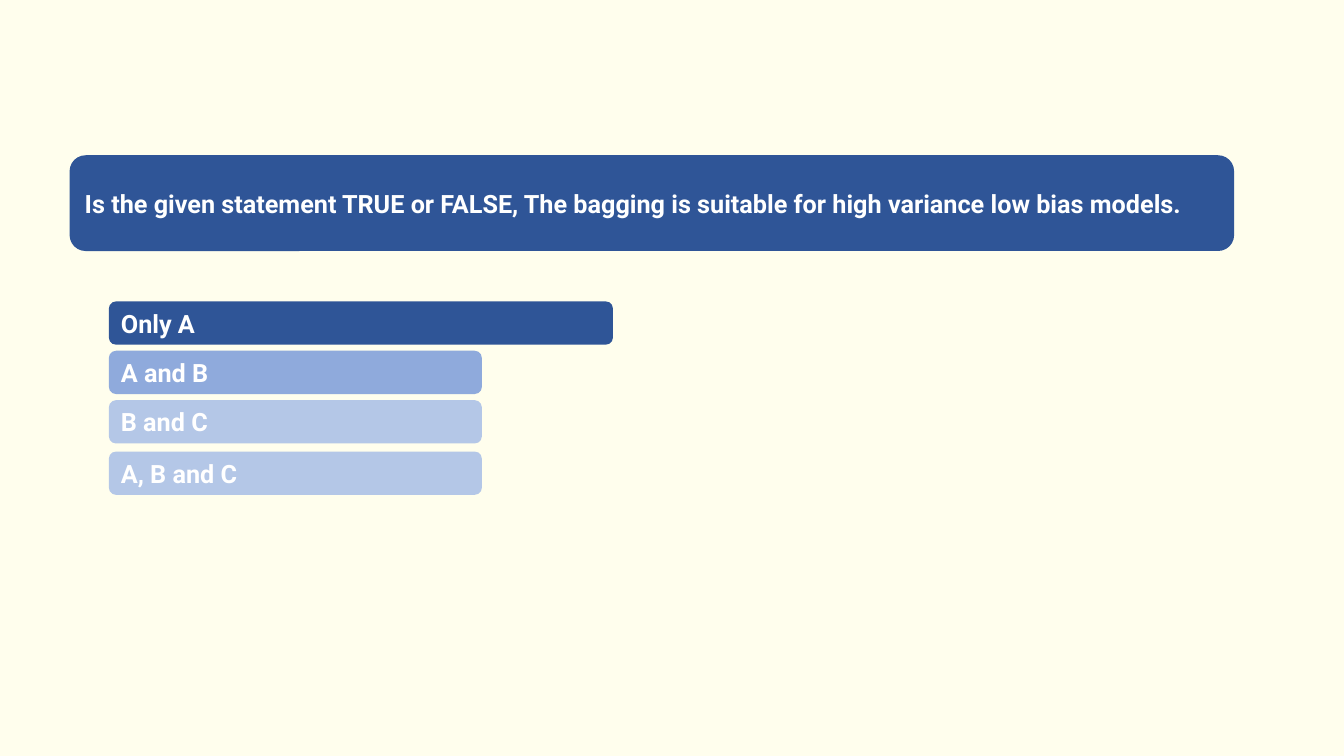
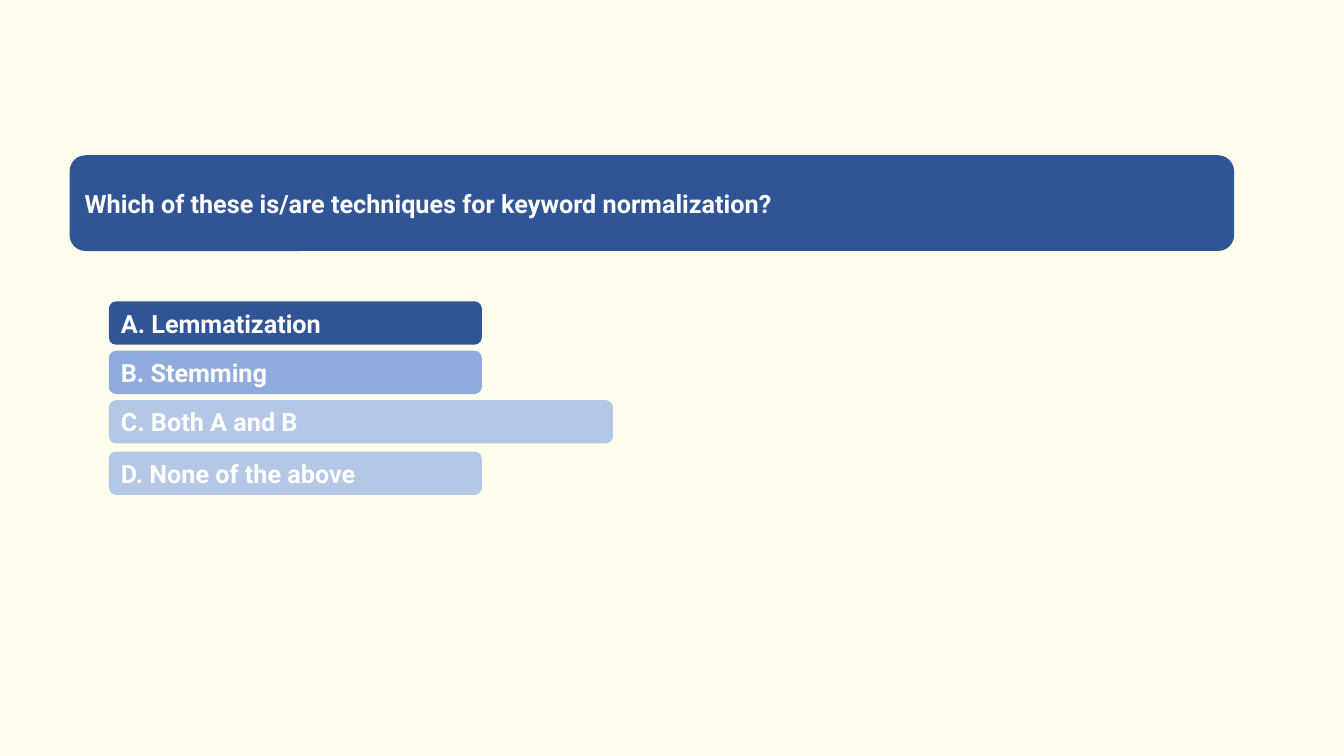
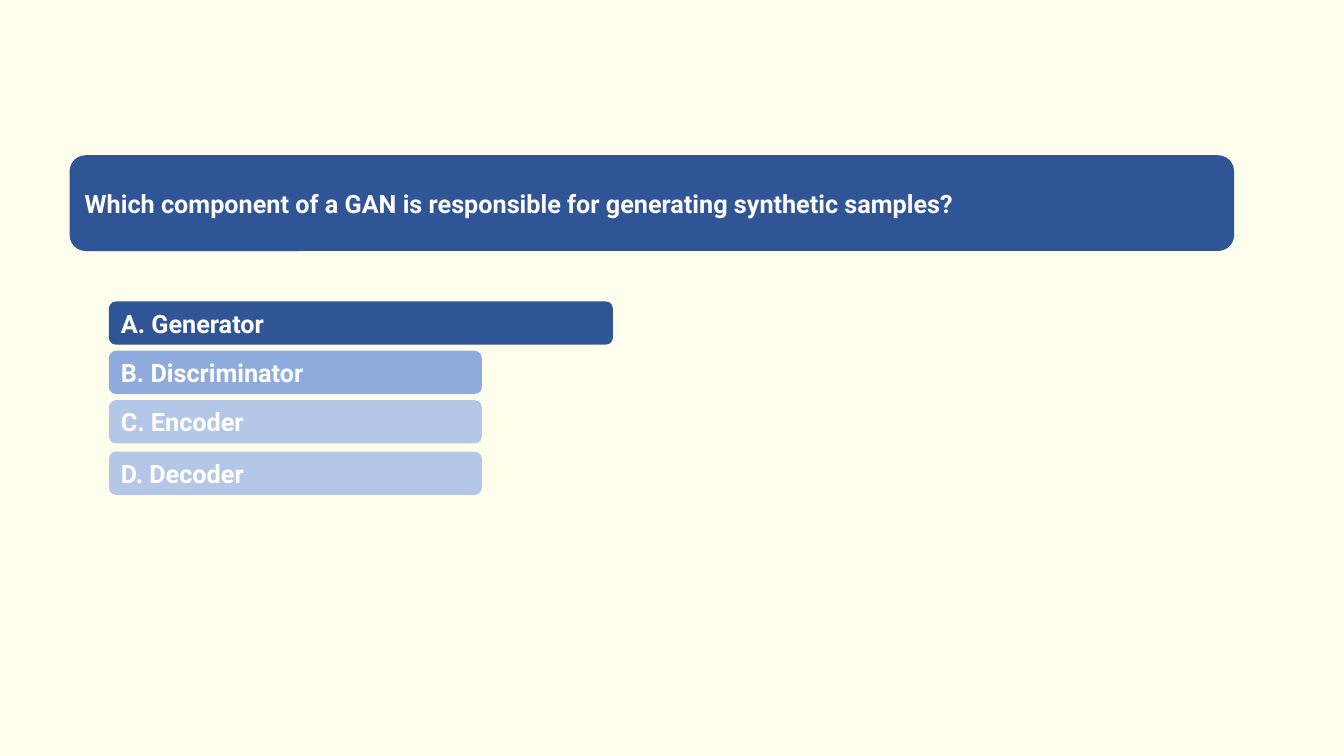
from pptx import Presentation
from pptx.dml.color import RGBColor
from pptx.enum.shapes import MSO_SHAPE
from pptx.enum.text import MSO_ANCHOR, MSO_AUTO_SIZE, PP_ALIGN
from pptx.util import Inches, Pt

CREAM = RGBColor(0xFF, 0xFE, 0xED)
WHITE = RGBColor(0xFF, 0xFF, 0xFF)
NAVY = RGBColor(0x2F, 0x55, 0x97)
BLUE = RGBColor(0x8F, 0xAA, 0xDC)
PALE = RGBColor(0xB4, 0xC7, 0xE7)

BAND = [Inches(n) for n in (0.69, 1.54, 11.55, 0.95)]
OPTION_ROWS = [(2.99, NAVY), (3.48, BLUE), (3.97, PALE), (4.48, PALE)]
OPTION_WIDTH = 3.7
ANSWER_WIDTH = 5

QUIZ = [
    ("Is the given statement TRUE or FALSE, The bagging is suitable for "
     "high variance low bias models.",
     ["Only A", "A and B", "B and C", "A, B and C"], 0),
    ("Which of these is/are techniques for keyword normalization?",
     ["A. Lemmatization", "B. Stemming", "C. Both A and B",
      "D. None of the above"], 2),
    ("Which component of a GAN is responsible for generating synthetic samples?",
     ["A. Generator", "B. Discriminator", "C. Encoder", "D. Decoder"], 0),
]


def add_bar(slide, left, top, width, height, color):
    bar = slide.shapes.add_shape(
        MSO_SHAPE.ROUNDED_RECTANGLE, left, top, width, height)
    bar.shadow.inherit = False
    bar.fill.solid()
    bar.fill.fore_color.rgb = color
    bar.line.fill.background()
    return bar


def write(shape, text):
    frame = shape.text_frame
    frame.text = text
    frame.word_wrap = True
    frame.auto_size = MSO_AUTO_SIZE.NONE
    frame.vertical_anchor = MSO_ANCHOR.MIDDLE
    paragraph = frame.paragraphs[0]
    paragraph.alignment = PP_ALIGN.LEFT
    font = paragraph.runs[0].font
    font.name = "Roboto"
    font.size = Pt(18)
    font.bold = True
    font.color.rgb = WHITE


prs = Presentation()
prs.slide_width = Inches(13.33)
prs.slide_height = Inches(7.5)
background = prs.slide_master.background.fill
background.solid()
background.fore_color.rgb = CREAM
title_only = prs.slide_layouts.get_by_name("Title Only")

for question, options, answer in QUIZ:
    slide = prs.slides.add_slide(title_only)
    title = slide.shapes.title
    band = add_bar(slide, *BAND, NAVY)
    title._element.addprevious(band._element)
    title.left, title.top, title.width, title.height = BAND
    write(title, question)
    title.text_frame.margin_left = Inches(0.15)

    for index, (option, (top, color)) in enumerate(zip(options, OPTION_ROWS)):
        width = ANSWER_WIDTH if index == answer else OPTION_WIDTH
        bar = add_bar(slide, Inches(1.08), Inches(top), Inches(width),
                      Inches(0.43), color)
        write(bar, option)

prs.save("out.pptx")
